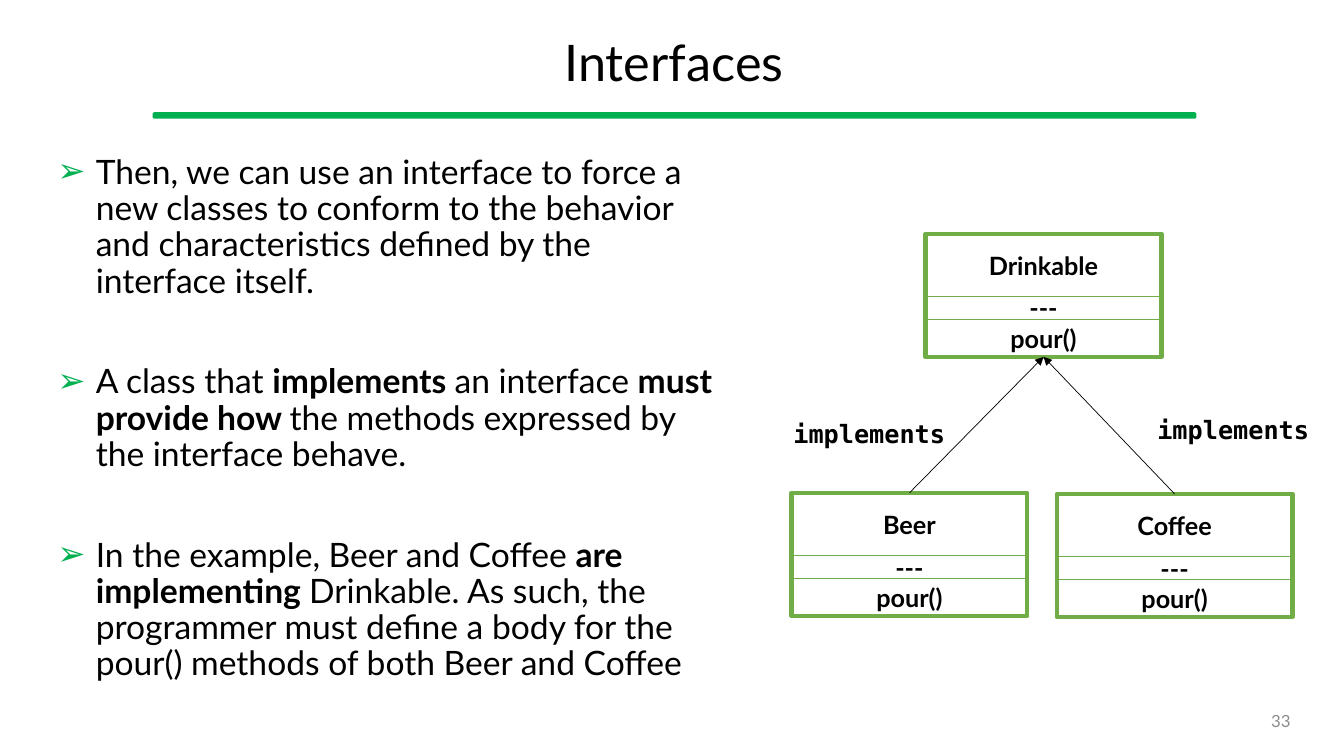
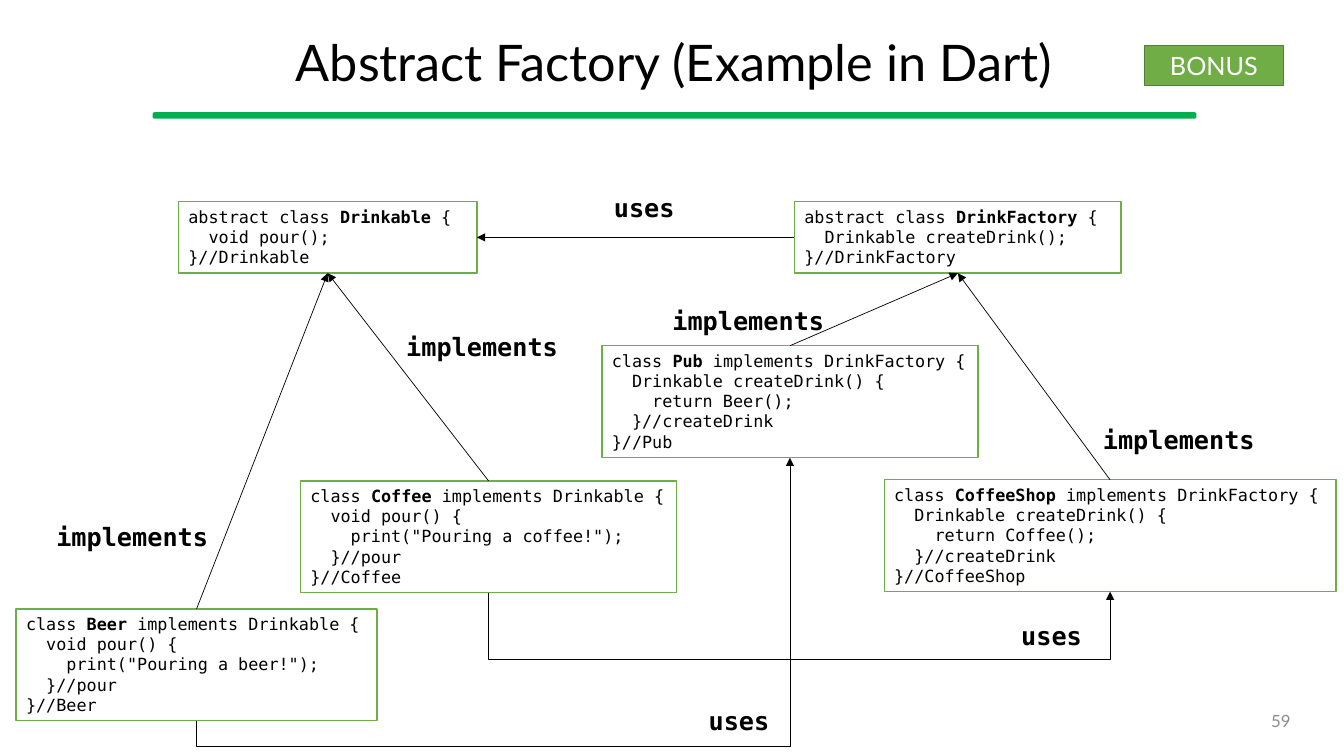
from dataclasses import dataclass

from lxml import etree
from pptx import Presentation
from pptx.dml.color import RGBColor
from pptx.enum.shapes import MSO_CONNECTOR, MSO_SHAPE
from pptx.enum.text import MSO_ANCHOR, MSO_AUTO_SIZE, PP_ALIGN
from pptx.oxml.ns import qn
from pptx.shapes.autoshape import Shape
from pptx.shapes.connector import Connector
from pptx.slide import Slide
from pptx.text.text import TextFrame
from pptx.util import Emu, Pt

RECTANGLE, ROUNDED = MSO_SHAPE.RECTANGLE, MSO_SHAPE.ROUNDED_RECTANGLE
STRAIGHT, ELBOW = MSO_CONNECTOR.STRAIGHT, MSO_CONNECTOR.ELBOW
TOP_ANCHOR, MIDDLE = MSO_ANCHOR.TOP, MSO_ANCHOR.MIDDLE
LEFT, CENTER, RIGHT = PP_ALIGN.LEFT, PP_ALIGN.CENTER, PP_ALIGN.RIGHT
NO_FIT, GROW = MSO_AUTO_SIZE.NONE, MSO_AUTO_SIZE.SHAPE_TO_FIT_TEXT
SIDE_TOP, SIDE_LEFT, SIDE_BOTTOM, SIDE_RIGHT = range(4)
TITLE_AND_BODY, TITLE_ONLY = 1, 5
EMU_PER_PX = 9144  # 100 px to the inch


@dataclass(frozen=True)
class Theme:
    text_font: str = "Lato"
    code_font: str = "DejaVu Sans Mono"
    ink: str = "000000"
    paper: str = "FFFFFF"
    accent: str = "00B050"
    outline: str = "70AD47"
    badge_line: str = "538035"
    muted: str = "8C8C8C"
    title_size: int = 36
    body_size: int = 24
    label_size: int = 18
    small_size: int = 12


THEME = Theme()


@dataclass(frozen=True)
class Box:
    left: int
    top: int
    width: int
    height: int

    def emu(self) -> tuple[Emu, Emu, Emu, Emu]:
        return px(self.left), px(self.top), px(self.width), px(self.height)


@dataclass(frozen=True)
class TextStyle:
    size: int
    font: str = THEME.text_font
    color: str = THEME.ink
    bold: bool | None = None
    align: PP_ALIGN = LEFT
    spacing: float | None = None


@dataclass(frozen=True)
class Label:
    text: str
    left: int
    top: int
    width: int


@dataclass(frozen=True)
class CodeBox:
    box: Box
    code: str


@dataclass(frozen=True)
class Link:
    start: str
    start_side: int
    end: str
    end_side: int


TITLE_BOX = Box(47, 18, 1243, 94)
BODY_BOX = Box(47, 149, 686, 583)
RULE_BOX = Box(152, 112, 1034, 5)
NUMBER_BOX = Box(942, 695, 348, 40)
BADGE_BOX = Box(1135, 45, 138, 40)
BULLET_INDENT = 38
LABEL_HEIGHT = 40

TITLE_STYLE = TextStyle(THEME.title_size, align=CENTER, spacing=0.9)
BODY_STYLE = TextStyle(THEME.body_size, spacing=0.9)
NUMBER_STYLE = TextStyle(THEME.small_size, color=THEME.muted, align=RIGHT)
BADGE_STYLE = TextStyle(THEME.label_size, color=THEME.paper, align=CENTER)
CLASS_STYLE = TextStyle(THEME.label_size, bold=True, align=CENTER)
LABEL_STYLE = TextStyle(THEME.label_size, THEME.code_font, bold=True)
CODE_STYLE = TextStyle(THEME.small_size, THEME.code_font)

# Interfaces slide
BULLETS = [
    "Then, we can use an interface to force a new classes to conform to the behavior "
    "and characteristics defined by the interface itself.",
    "A class that **implements **an interface **must provide how **the methods "
    "expressed by the interface behave.",
    "In the example, Beer and Coffee **are implementing **Drinkable. As such, the "
    "programmer must define a body for the pour() methods of both Beer and Coffee",
]
CLASS_WIDTH = 234
CLASS_ROW_HEIGHTS = (62, 23, 37)
CLASS_CORNERS = {"Drinkable": (918, 232), "Beer": (785, 489), "Coffee": (1048, 490)}
CLASS_LINKS = [Link(name, SIDE_TOP, "Drinkable", SIDE_BOTTOM) for name in ("Coffee", "Beer")]
CLASS_LABELS = [Label("implements", 777, 410, 171), Label("implements", 1138, 406, 171)]

# Abstract factory slide
CODE_BOXES = {
    "Beer": CodeBox(Box(16, 604, 358, 111), """class **Beer** implements Drinkable {
  void pour() {
    print("Pouring a beer!");
  }//pour
}//Beer"""),
    "Coffee": CodeBox(Box(298, 477, 373, 111), """class **Coffee** implements Drinkable {
  void pour() {
    print("Pouring a coffee!");
  }//pour
}//Coffee"""),
    "Drinkable": CodeBox(Box(177, 200, 296, 71), """abstract class **Drinkable** {
  void pour();
}//Drinkable"""),
    "DrinkFactory": CodeBox(Box(788, 200, 324, 71), """abstract class **DrinkFactory** {
  Drinkable createDrink();
}//DrinkFactory"""),
    "Pub": CodeBox(Box(597, 343, 373, 111), """class **Pub** implements DrinkFactory {
  Drinkable createDrink() {
    return Beer();
  }//createDrink
}//Pub"""),
    "CoffeeShop": CodeBox(Box(877, 476, 448, 111), """class **CoffeeShop** implements DrinkFactory {
  Drinkable createDrink() {
    return Coffee();
  }//createDrink
}//CoffeeShop"""),
}
FACTORY_LINKS = [
    Link("Coffee", SIDE_TOP, "Drinkable", SIDE_BOTTOM),
    Link("Beer", SIDE_TOP, "Drinkable", SIDE_BOTTOM),
    Link("CoffeeShop", SIDE_TOP, "DrinkFactory", SIDE_BOTTOM),
    Link("Pub", SIDE_TOP, "DrinkFactory", SIDE_BOTTOM),
    Link("DrinkFactory", SIDE_LEFT, "Drinkable", SIDE_RIGHT),
]
LOW_LINKS = [
    (Link("Coffee", SIDE_BOTTOM, "CoffeeShop", SIDE_BOTTOM), 655),
    (Link("Beer", SIDE_BOTTOM, "Pub", SIDE_BOTTOM), 740),
]
FACTORY_LABELS = [
    Label("implements", 393, 324, 171),
    Label("implements", 657, 298, 171),
    Label("implements", 1084, 416, 171),
    Label("implements", 46, 512, 171),
    Label("uses", 599, 186, 81),
    Label("uses", 1003, 610, 81),
    Label("uses", 693, 695, 81),
]


def px(length: float) -> Emu:
    return Emu(round(length * EMU_PER_PX))


def rgb(color: str) -> RGBColor:
    return RGBColor.from_string(color)


def add_bullet(paragraph_properties: etree._Element) -> None:
    paragraph_properties.set("marL", str(px(BULLET_INDENT)))
    paragraph_properties.set("indent", str(-px(BULLET_INDENT)))
    color = etree.SubElement(paragraph_properties, qn("a:buClr"))
    etree.SubElement(color, qn("a:srgbClr"), val=THEME.accent)
    etree.SubElement(paragraph_properties, qn("a:buChar"), char="➢")


def write(frame: TextFrame, lines: list[str], style: TextStyle,
          bulleted: bool = False, gap: int = 0) -> None:
    """Write one paragraph a line; ** switches bold on and off."""
    for index, line in enumerate(lines):
        paragraph = frame.add_paragraph() if index else frame.paragraphs[0]
        if bulleted:
            add_bullet(paragraph._p.get_or_add_pPr())
        paragraph.alignment = style.align
        paragraph.space_before = Pt(gap if index else 0)
        if style.spacing:
            paragraph.line_spacing = style.spacing
        paragraph.font.name = style.font
        paragraph.font.size = Pt(style.size)
        paragraph.font.bold = style.bold
        paragraph.font.color.rgb = rgb(style.color)
        for position, part in enumerate(line.split("**")):
            run = paragraph.add_run()
            run.text = part
            if position % 2:
                run.font.bold = True


def set_frame(frame: TextFrame, anchor: MSO_ANCHOR, fit: MSO_AUTO_SIZE = NO_FIT,
              wrap: bool = True) -> None:
    frame.word_wrap = wrap
    frame.auto_size = fit
    frame.vertical_anchor = anchor


def place(shape: Shape | Connector, box: Box) -> None:
    shape.left, shape.top, shape.width, shape.height = box.emu()


def add_box(slide: Slide, box: Box, fill: str | None = THEME.paper,
            line: str = THEME.outline, weight: int = 1,
            preset: MSO_SHAPE = RECTANGLE) -> Shape:
    shape = slide.shapes.add_shape(preset, *box.emu())
    shape.shadow.inherit = False
    if fill:
        shape.fill.solid()
        shape.fill.fore_color.rgb = rgb(fill)
    else:
        shape.fill.background()
    shape.line.color.rgb = rgb(line)
    shape.line.width = Pt(weight)
    return shape


def add_labels(slide: Slide, labels: list[Label]) -> None:
    for label in labels:
        box = Box(label.left, label.top, label.width, LABEL_HEIGHT)
        shape = slide.shapes.add_textbox(*box.emu())
        set_frame(shape.text_frame, TOP_ANCHOR, GROW, wrap=False)
        write(shape.text_frame, [label.text], LABEL_STYLE)


def add_arrow(slide: Slide, shapes: dict[str, Shape], link: Link,
              kind: MSO_CONNECTOR = STRAIGHT) -> Connector:
    arrow = slide.shapes.add_connector(kind, 0, 0, 0, 0)
    arrow.begin_connect(shapes[link.start], link.start_side)
    arrow.end_connect(shapes[link.end], link.end_side)
    arrow.line.color.rgb = rgb(THEME.ink)
    arrow.line.width = Pt(0.5)
    etree.SubElement(arrow.line._get_or_add_ln(), qn("a:tailEnd"), type="triangle")
    etree.SubElement(arrow.element.spPr, qn("a:effectLst"))
    return arrow


def add_low_arrow(slide: Slide, shapes: dict[str, Shape], link: Link, lowest: int) -> None:
    """Run from a bottom side down to a level, across, and up to a higher bottom side."""
    arrow = add_arrow(slide, shapes, link, ELBOW)
    begin_x, begin_y, end_x, end_y = arrow.begin_x, arrow.begin_y, arrow.end_x, arrow.end_y
    rise, run = begin_y - end_y, end_x - begin_x
    arrow.left = Emu((begin_x + end_x - rise) // 2)
    arrow.top = Emu((begin_y + end_y - run) // 2)
    arrow.width, arrow.height = Emu(rise), Emu(run)
    transform = arrow.element.spPr.find(qn("a:xfrm"))
    for name, value in (("rot", "5400000"), ("flipH", "1"), ("flipV", "1")):
        transform.set(name, value)
    bend = round(-100000 * (px(lowest) - begin_y) / rise)
    guides = arrow.element.spPr.find(qn("a:prstGeom")).find(qn("a:avLst"))
    etree.SubElement(guides, qn("a:gd"), name="adj1", fmla=f"val {bend}")


def add_class(slide: Slide, name: str) -> Shape:
    left, top = CLASS_CORNERS[name]
    row_top = top
    for text, height in zip((name, "---", "pour()"), CLASS_ROW_HEIGHTS):
        row = add_box(slide, Box(left, row_top, CLASS_WIDTH, height))
        set_frame(row.text_frame, MIDDLE)
        write(row.text_frame, [text], CLASS_STYLE)
        row_top += height
    return add_box(slide, Box(left, top, CLASS_WIDTH, row_top - top), fill=None, weight=3)


def start_slide(presentation: Presentation, layout: int, title: str, number: str) -> Slide:
    slide = presentation.slides.add_slide(presentation.slide_layouts[layout])
    # Green rule
    rule = add_box(slide, RULE_BOX, THEME.accent, THEME.accent, preset=ROUNDED)
    rule.adjustments[0] = 0.26
    # Title
    place(slide.shapes.title, TITLE_BOX)
    set_frame(slide.shapes.title.text_frame, MIDDLE)
    write(slide.shapes.title.text_frame, [title], TITLE_STYLE)
    # Slide number
    footer = slide.shapes.add_textbox(*NUMBER_BOX.emu())
    set_frame(footer.text_frame, MIDDLE)
    write(footer.text_frame, [number], NUMBER_STYLE)
    return slide


def build_interfaces(presentation: Presentation) -> None:
    slide = start_slide(presentation, TITLE_AND_BODY, "Interfaces", "33")
    body = slide.placeholders[1]
    place(body, BODY_BOX)
    set_frame(body.text_frame, TOP_ANCHOR)
    write(body.text_frame, BULLETS, BODY_STYLE, bulleted=True, gap=46)
    # Class diagram
    classes = {name: add_class(slide, name) for name in CLASS_CORNERS}
    for link in CLASS_LINKS:
        add_arrow(slide, classes, link)
    add_labels(slide, CLASS_LABELS)


def build_factory(presentation: Presentation) -> None:
    slide = start_slide(presentation, TITLE_ONLY, "Abstract Factory (Example in Dart)", "59")
    # Code boxes
    shapes = {}
    for name, item in CODE_BOXES.items():
        shapes[name] = add_box(slide, item.box)
        set_frame(shapes[name].text_frame, TOP_ANCHOR, GROW)
        write(shapes[name].text_frame, item.code.split("\n"), CODE_STYLE)
    # Arrows and labels
    for link in FACTORY_LINKS:
        add_arrow(slide, shapes, link)
    for link, lowest in LOW_LINKS:
        add_low_arrow(slide, shapes, link, lowest)
    add_labels(slide, FACTORY_LABELS)
    # Badge
    badge = add_box(slide, BADGE_BOX, THEME.outline, THEME.badge_line)
    set_frame(badge.text_frame, MIDDLE, GROW)
    write(badge.text_frame, ["BONUS"], BADGE_STYLE)


def main() -> None:
    presentation = Presentation()
    presentation.slide_width, presentation.slide_height = px(1333), px(750)
    build_interfaces(presentation)
    build_factory(presentation)
    presentation.save("out.pptx")


if __name__ == "__main__":
    main()
